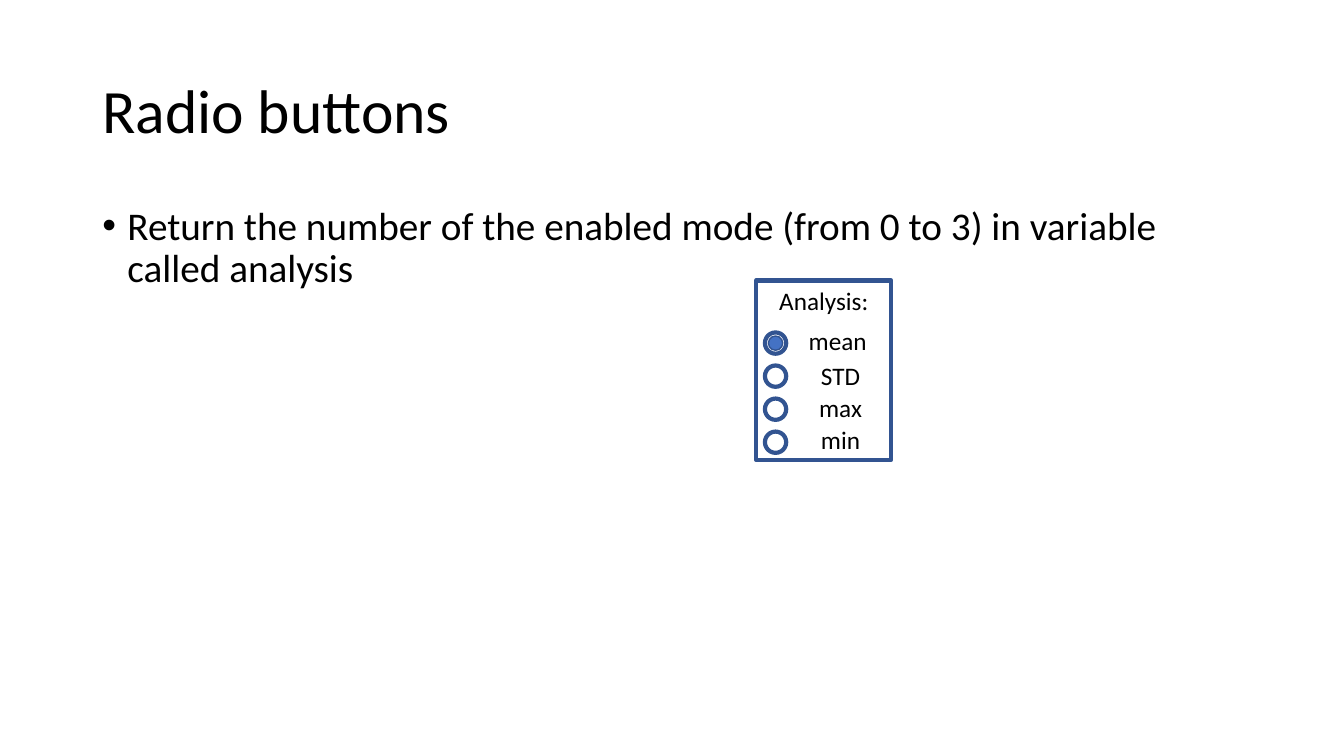
"""Build a slide that shows a group of radio buttons for choosing an analysis."""
from lxml import etree
from pptx import Presentation
from pptx.dml.color import RGBColor
from pptx.enum.shapes import MSO_SHAPE
from pptx.enum.text import MSO_ANCHOR, PP_ALIGN
from pptx.oxml.ns import qn
from pptx.util import Pt

RECTANGLE, OVAL = MSO_SHAPE.RECTANGLE, MSO_SHAPE.OVAL
TOP, MIDDLE = MSO_ANCHOR.TOP, MSO_ANCHOR.MIDDLE
LEFT, CENTER = PP_ALIGN.LEFT, PP_ALIGN.CENTER
BLACK = RGBColor(0x00, 0x00, 0x00)
BLUE = RGBColor(0x44, 0x72, 0xC4)
DARK_BLUE = RGBColor(0x32, 0x54, 0x91)

prs = Presentation()
prs.slide_width, prs.slide_height = Pt(960), Pt(540)
slide = prs.slides.add_slide(prs.slide_layouts[6])


def write(holder, text, size, align=LEFT, anchor=TOP, wrap=True):
    frame = holder.text_frame
    frame.word_wrap = wrap
    frame.vertical_anchor = anchor
    paragraph = frame.paragraphs[0]
    paragraph.text = text
    paragraph.alignment = align
    paragraph.font.name = "Calibri"
    paragraph.font.size = Pt(size)
    paragraph.font.color.rgb = BLACK
    return paragraph


def outline(kind, left, top, width, height, weight, fill=None):
    shape = slide.shapes.add_shape(kind, Pt(left), Pt(top), Pt(width), Pt(height))
    shape.shadow.inherit = False
    shape.line.color.rgb = DARK_BLUE
    shape.line.width = Pt(weight)
    if fill is None:
        shape.fill.background()
    else:
        shape.fill.solid()
        shape.fill.fore_color.rgb = fill
    return shape


title = slide.shapes.add_textbox(Pt(66), Pt(28.75), Pt(828), Pt(104.4))
write(title, "Radio buttons", 44, anchor=MIDDLE).line_spacing = 0.9

body = slide.shapes.add_textbox(Pt(66), Pt(143.75), Pt(828), Pt(342.6))
task = write(
    body,
    "Return the number of the enabled mode (from 0 to 3) in variable called analysis",
    28,
)
task.line_spacing = 0.9
task.space_before = Pt(10)
properties = task._p.get_or_add_pPr()
properties.set("marL", str(Pt(18)))
properties.set("indent", str(-Pt(18)))
etree.SubElement(properties, qn("a:buFont")).set("typeface", "Arial")
etree.SubElement(properties, qn("a:buChar")).set("char", "•")

panel = outline(RECTANGLE, 540.2, 200.3, 96.5, 128.2, 3)
write(panel, "Analysis:", 18, CENTER)

button_left, button_top, button_size, button_step = 546.4, 237.5, 15.2, 23.6
for row in range(4):
    outline(OVAL, button_left, button_top + row * button_step, button_size, button_size, 3)

modes = [("mean ", 229), ("STD", 254), ("max", 276.4), ("min", 299.6)]
for mode, top in modes:
    label = slide.shapes.add_textbox(Pt(570.2), Pt(top), Pt(60.4), Pt(29))
    write(label, mode, 18, CENTER, wrap=False)

dot_size = 10.2
inset = (button_size - dot_size) / 2
outline(OVAL, button_left + inset, button_top + inset, dot_size, dot_size, 1, BLUE)

prs.save("out.pptx")
